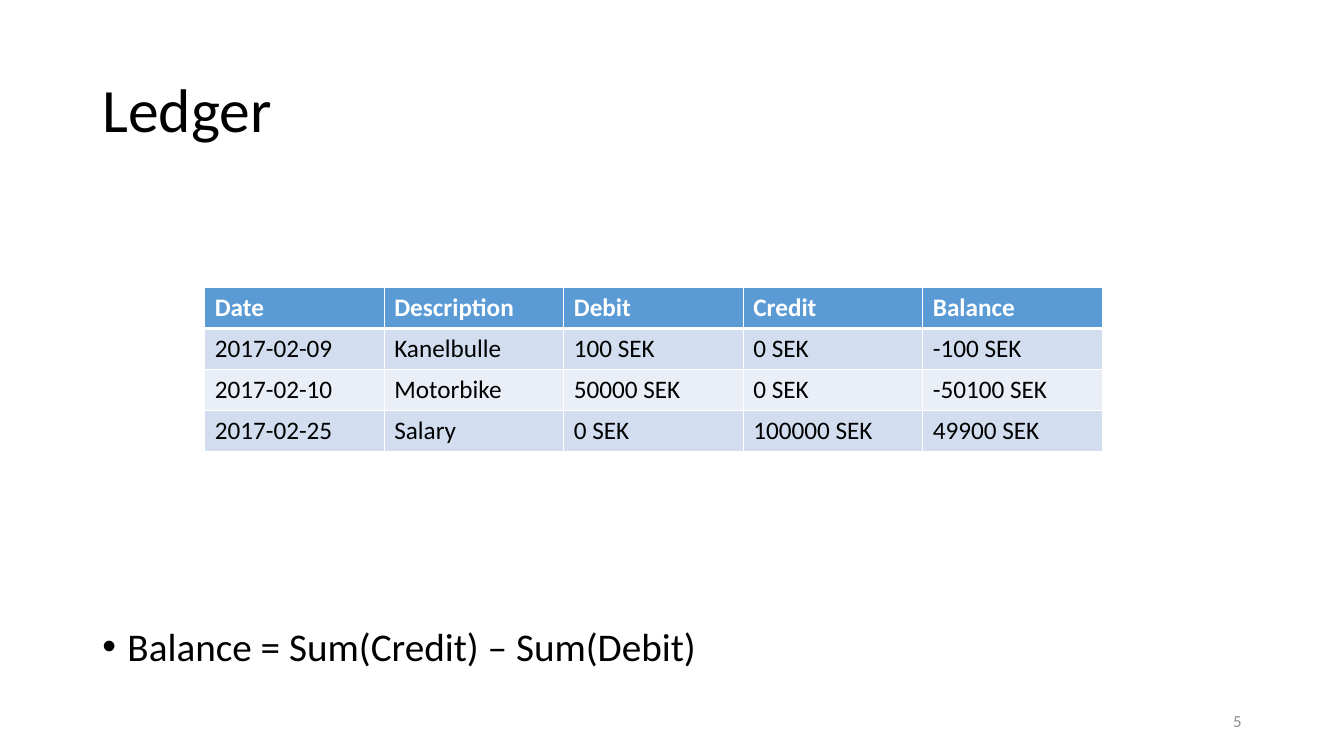
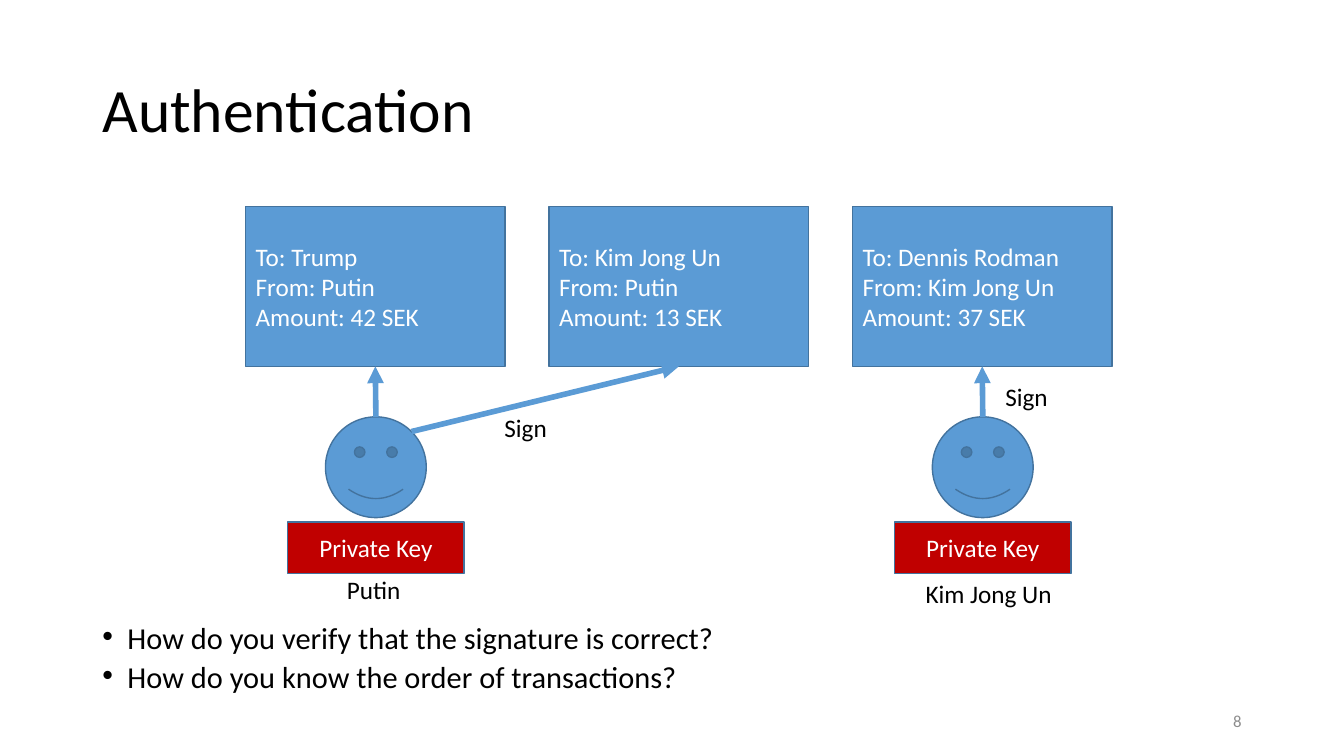
from dataclasses import dataclass

from lxml import etree
from pptx import Presentation
from pptx.dml.color import RGBColor
from pptx.enum.shapes import MSO_CONNECTOR, MSO_SHAPE
from pptx.enum.text import MSO_ANCHOR, MSO_AUTO_SIZE, PP_ALIGN
from pptx.oxml.ns import qn
from pptx.util import Emu, Pt

LEFT, CENTER, RIGHT = PP_ALIGN.LEFT, PP_ALIGN.CENTER, PP_ALIGN.RIGHT
TOP, MIDDLE = MSO_ANCHOR.TOP, MSO_ANCHOR.MIDDLE
RECT, SMILEY = MSO_SHAPE.RECTANGLE, MSO_SHAPE.SMILEY_FACE
STRAIGHT = MSO_CONNECTOR.STRAIGHT
TITLE_ONLY = 5
TOP_SITE, BOTTOM_SITE, UPPER_RIGHT_SITE = 0, 2, 7


@dataclass(frozen=True)
class Theme:
    font: str = "Calibri"
    ink: str = "000000"
    paper: str = "FFFFFF"
    muted: str = "8C8C8C"
    blue: str = "5B9BD5"
    outline: str = "43739E"
    red: str = "C00000"
    bands: tuple = ("D2DEEF", "EAEFF7")
    title_size: float = 44
    bullet_size: float = 28
    small_bullet_size: float = 21.7
    text_size: float = 18
    number_size: float = 12


THEME = Theme()

LEDGER = [
    ("Date", "Description", "Debit", "Credit", "Balance"),
    ("2017-02-09", "Kanelbulle", "100 SEK", "0 SEK", "-100 SEK"),
    ("2017-02-10", "Motorbike", "50000 SEK", "0 SEK", "-50100 SEK"),
    ("2017-02-25", "Salary", "0 SEK", "100000 SEK", "49900 SEK"),
]
TRANSACTIONS = [
    ("Trump", "Putin", 42),
    ("Kim Jong Un", "Putin", 13),
    ("Dennis Rodman", "Kim Jong Un", 37),
]


def px(length):
    return Emu(length * 9525)


def box(*lengths):
    return [px(length) for length in lengths]


def rgb(colour):
    return RGBColor.from_string(colour)


def write(frame, lines, size, colour, align=LEFT, anchor=TOP, bold=False):
    """Fill a text frame with one paragraph for each line."""
    frame.text = "\n".join(lines)
    frame.vertical_anchor = anchor
    for paragraph in frame.paragraphs:
        paragraph.alignment = align
        for run in paragraph.runs:
            run.font.name = THEME.font
            run.font.size = Pt(size)
            run.font.bold = bold
            run.font.color.rgb = rgb(colour)


# Shared slide parts

def add_slide(deck, title, number):
    slide = deck.slides.add_slide(deck.slide_layouts[TITLE_ONLY])
    heading = slide.shapes.title
    heading.left, heading.top, heading.width, heading.height = box(88, 38, 1104, 139)
    write(heading.text_frame, [title], THEME.title_size, THEME.ink, anchor=MIDDLE)
    heading.text_frame.auto_size = MSO_AUTO_SIZE.NONE
    heading.text_frame.paragraphs[0].line_spacing = 0.9
    footer = slide.shapes.add_textbox(*box(904, 667, 288, 38)).text_frame
    footer.word_wrap = True
    write(footer, [str(number)], THEME.number_size, THEME.muted, RIGHT, MIDDLE)
    return slide


def add_bullets(slide, top, height, lines, size, spacing):
    frame = slide.shapes.add_textbox(*box(88, top, 1104, height)).text_frame
    frame.word_wrap = True
    write(frame, lines, size, THEME.ink)
    for paragraph in frame.paragraphs:
        paragraph.line_spacing = spacing
        paragraph.space_before = Pt(10)
        properties = paragraph._p.get_or_add_pPr()
        properties.set("marL", str(px(24)))
        properties.set("indent", str(-px(24)))
        etree.SubElement(properties, qn("a:buFont"), typeface="Arial")
        etree.SubElement(properties, qn("a:buChar"), char="•")


# Ledger table

def set_border(cell, side, width):
    line = etree.SubElement(cell._tc.get_or_add_tcPr(), qn(f"a:ln{side}"), w=str(Pt(width)))
    fill = etree.SubElement(line, qn("a:solidFill"))
    etree.SubElement(fill, qn("a:srgbClr"), val=THEME.paper)


def add_ledger(slide, left, top, column_width, row_height):
    rows, columns = len(LEDGER), len(LEDGER[0])
    area = box(left, top, columns * column_width, rows * row_height)
    table = slide.shapes.add_table(rows, columns, *area).table
    for row, entry in enumerate(LEDGER):
        header = row == 0
        fill = THEME.blue if header else THEME.bands[(row - 1) % 2]
        for column, value in enumerate(entry):
            cell = table.cell(row, column)
            write(cell.text_frame, [value], THEME.text_size,
                  THEME.paper if header else THEME.ink, bold=header)
            for side in "LRTB":
                under_header = (row, side) in ((0, "B"), (1, "T"))
                set_border(cell, side, 3 if under_header else 1)
            cell.fill.solid()
            cell.fill.fore_color.rgb = rgb(fill)


# Signing diagram

def add_block(slide, kind, area, fill, lines=(), align=LEFT):
    block = slide.shapes.add_shape(kind, *box(*area))
    block.shadow.inherit = False
    block.fill.solid()
    block.fill.fore_color.rgb = rgb(fill)
    block.line.color.rgb = rgb(THEME.outline)
    block.line.width = Pt(1)
    if lines:
        write(block.text_frame, lines, THEME.text_size, THEME.paper, align, MIDDLE)
    return block


def add_label(slide, area, text):
    frame = slide.shapes.add_textbox(*box(*area)).text_frame
    frame.word_wrap = False
    frame.auto_size = MSO_AUTO_SIZE.SHAPE_TO_FIT_TEXT
    write(frame, [text], THEME.text_size, THEME.ink)


def add_signer(slide, left, name, name_area):
    face = add_block(slide, SMILEY, (left + 36, 397, 96, 96), THEME.blue)
    add_block(slide, RECT, (left, 497, 168, 49), THEME.red, ["Private Key"], CENTER)
    add_label(slide, name_area, name)
    return face


def add_signature(slide, signer, card, start, site):
    arrow = slide.shapes.add_connector(STRAIGHT, *box(*start, *start))
    if site == TOP_SITE:
        arrow.begin_connect(signer, site)
    arrow.end_connect(card, BOTTOM_SITE)
    arrow.line.color.rgb = rgb(THEME.blue)
    arrow.line.width = Pt(4)
    etree.SubElement(arrow.line._get_or_add_ln(), qn("a:tailEnd"), type="triangle")
    etree.SubElement(arrow._element.spPr, qn("a:effectLst"))


# Slides

def build_ledger(deck):
    slide = add_slide(deck, "Ledger", 5)
    add_ledger(slide, left=195, top=274, column_width=171, row_height=39)
    add_bullets(slide, 593, 56, ["Balance = Sum(Credit) – Sum(Debit)"],
                THEME.bullet_size, 0.9)


def build_authentication(deck):
    slide = add_slide(deck, "Authentication", 8)
    add_bullets(slide, 594, 73, [
        "How do you verify that the signature is correct?",
        "How do you know the order of transactions?",
    ], THEME.small_bullet_size, 0.7)
    cards = [
        add_block(slide, RECT, (234 + 289 * index, 197, 247, 152), THEME.blue,
                  [f"To: {payee}", f"From: {payer}", f"Amount: {amount} SEK"])
        for index, (payee, payer, amount) in enumerate(TRANSACTIONS)
    ]
    putin = add_signer(slide, 274, "Putin", (321, 542, 71, 38))
    kim = add_signer(slide, 852, "Kim Jong Un", (872, 546, 141, 38))
    add_signature(slide, putin, cards[0], (358, 397), TOP_SITE)
    add_signature(slide, putin, cards[1], (392, 411), UPPER_RIGHT_SITE)
    add_signature(slide, kim, cards[2], (936, 397), TOP_SITE)
    for left, top in ((471, 388), (948, 358)):
        add_label(slide, (left, top, 60, 38), "Sign")


def main():
    deck = Presentation()
    deck.slide_width, deck.slide_height = box(1280, 720)
    build_ledger(deck)
    build_authentication(deck)
    deck.save("out.pptx")


if __name__ == "__main__":
    main()
